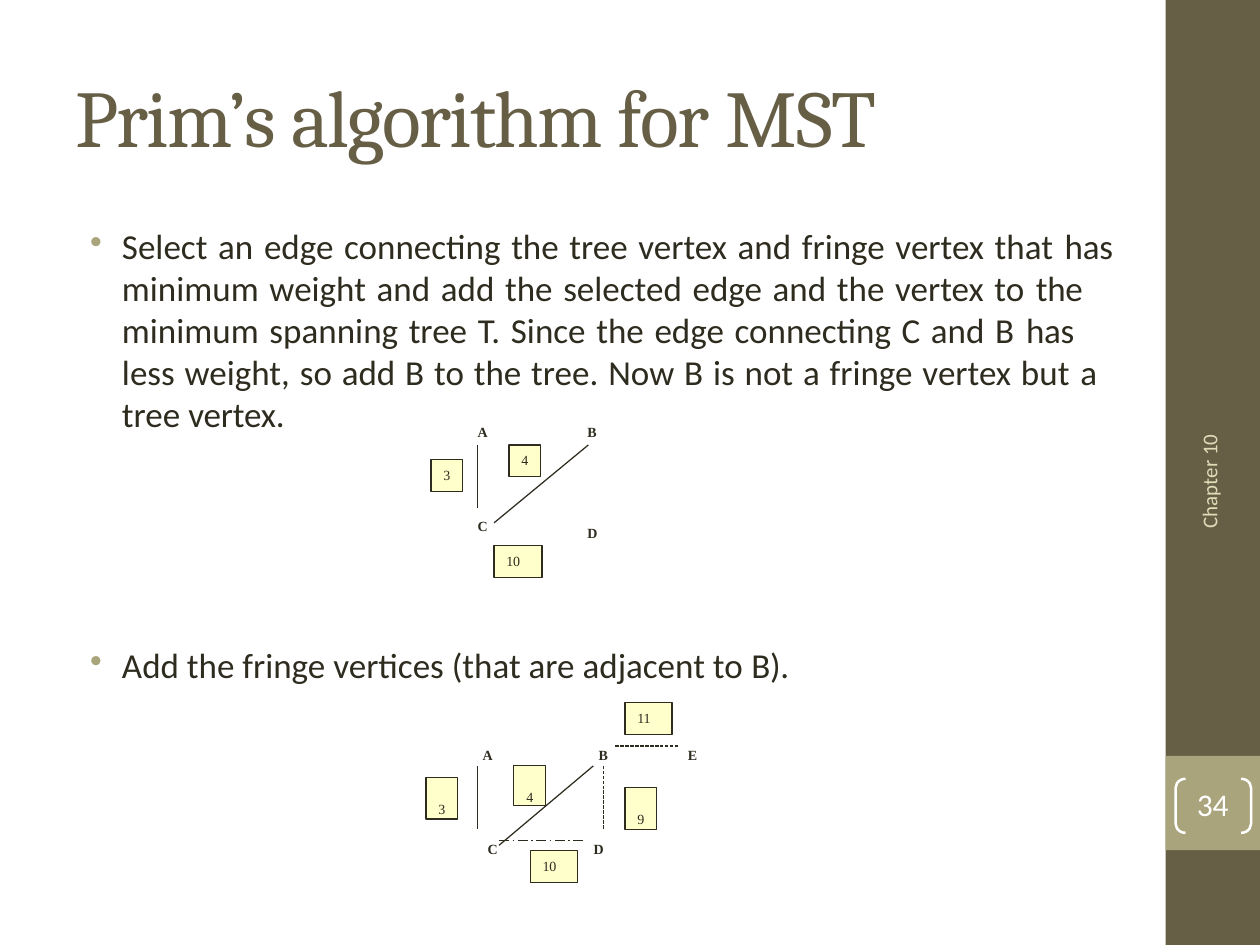
from lxml import etree
from pptx import Presentation
from pptx import util as u
from pptx.dml.color import RGBColor
from pptx.enum import dml, shapes, text
from pptx.oxml import ns

Cm, Pt = u.Cm, u.Pt

OLIVE = RGBColor(0x67, 0x5E, 0x46)
SAGE = RGBColor(0xA9, 0xA4, 0x7B)
SAND = RGBColor(0xDF, 0xDC, 0xB7)
INK = RGBColor(0x2E, 0x2B, 0x1F)
YELLOW = RGBColor(0xFF, 0xFF, 0xCC)
WHITE = RGBColor(0xFF, 0xFF, 0xFF)

DASH = dml.MSO_LINE.SQUARE_DOT
DASH_DOT = dml.MSO_LINE.LONG_DASH_DOT

TITLE = [("Prim’s ", -1.1), ("algorithm for ", -0.9), ("MST", -0.2)]
SELECT_EDGE = [
    ("Select an edge connecting the tree vertex and fringe vertex that ", 0),
    ("has \t", -0.2),
    ("minimum weight and add the selected edge and the vertex to ", 0),
    ("the \t", -0.2),
    ("minimum spanning tree T. Since the edge connecting C and B ", 0),
    ("has \t", -0.2),
    ("less weight, so add B to the tree. Now B is not a fringe vertex but ", 0),
    ("a \t", -0.5),
    ("tree ", 0),
    ("vertex.", -0.1),
]
ADD_FRINGE = [("Add the fringe vertices (that are adjacent to ", 0), ("B).", -0.2)]

# Vertices: name, left, top. Edges: x1, y1, x2, y2, dash.
# Weights: value, left, top, width, height, space above the text. All in cm.
TREE_WITH_B = {
    "vertices": [("A", 9.6, 8.51), ("B", 11.81, 8.51),
                 ("C", 9.6, 10.41), ("D", 11.81, 10.54)],
    "edges": [(9.63, 8.97, 9.63, 10.24, None),
              (11.86, 8.97, 9.96, 10.54, None)],
    "weights": [("3", 8.69, 9.27, 0.64, 0.64, 0.13),
                ("4", 10.26, 8.97, 0.64, 0.64, 0.13),
                ("10", 9.96, 11, 0.97, 0.64, 0.13)],
}
TREE_WITH_FRINGE = {
    "vertices": [("A", 9.7, 15.01), ("B", 12.04, 15.01), ("E", 13.84, 15.01),
                 ("C", 9.8, 16.92), ("D", 11.94, 16.92)],
    "edges": [(9.63, 15.44, 9.63, 16.71, None),
              (12.17, 16.71, 12.17, 15.44, DASH),
              (11.96, 15.44, 10.06, 17.04, None),
              (12.4, 15.04, 13.67, 15.04, DASH),
              (10.06, 16.94, 11.76, 16.94, DASH_DOT)],
    "weights": [("4", 10.36, 15.44, 0.64, 0.8, 0.46),
                ("3", 8.59, 15.67, 0.64, 0.84, 0.46),
                ("9", 12.6, 15.88, 0.64, 0.84, 0.46),
                ("11", 12.6, 14.17, 0.95, 0.64, 0.13),
                ("10", 10.69, 17.15, 0.95, 0.64, 0.13)],
}


def write(sp, runs, size, font, color, bold=False, left=0.03, top=0.03):
    """Fill a shape with one left-aligned paragraph of (text, spacing) runs."""
    tf = sp.text_frame
    tf.word_wrap = True
    tf.auto_size = text.MSO_AUTO_SIZE.NONE
    tf.vertical_anchor = text.MSO_ANCHOR.TOP
    tf.margin_left, tf.margin_top = Cm(left), Cm(top)
    tf.margin_right = tf.margin_bottom = 0
    p = tf.paragraphs[0]
    p.alignment = text.PP_ALIGN.LEFT
    for words, spacing in runs:
        r = p.add_run()
        r.text = words
        r.font.size, r.font.name, r.font.bold = Pt(size), font, bold
        r.font.color.rgb = color
        if spacing:
            r._r.get_or_add_rPr().set("spc", str(round(spacing * 100)))
    return p


def add_text(s, box, runs, size, font, color, **options):
    sp = s.shapes.add_textbox(*map(Cm, box))
    return sp, write(sp, runs, size, font, color, **options)


def add_bullet(s, box, runs, align):
    p = add_text(s, box, runs, 20, "Calibri", INK, left=0)[1]
    p.alignment = align
    pPr = p._p.get_or_add_pPr()
    indent = Cm(0.66)
    pPr.set("marL", str(indent))
    pPr.set("indent", str(-Cm(0.64)))
    clr = etree.SubElement(pPr, ns.qn("a:buClr"))
    etree.SubElement(clr, ns.qn("a:srgbClr"), val=str(SAGE))
    etree.SubElement(pPr, ns.qn("a:buChar"), char="•")
    tabs = etree.SubElement(pPr, ns.qn("a:tabLst"))
    etree.SubElement(tabs, ns.qn("a:tab"), pos=str(indent), algn="l")


def add_shape(s, kind, box, fill=None, line=None, width=0.72):
    sp = s.shapes.add_shape(kind, *map(Cm, box))
    sp.shadow.inherit = False
    if fill is None:
        sp.fill.background()
    else:
        sp.fill.solid()
        sp.fill.fore_color.rgb = fill
    if line is None:
        sp.line.fill.background()
    else:
        sp.line.color.rgb = line
        sp.line.width = Pt(width)
    return sp


def add_edge(s, x1, y1, x2, y2, dash):
    c = s.shapes.add_connector(shapes.MSO_CONNECTOR.STRAIGHT,
                               Cm(x1), Cm(y1), Cm(x2), Cm(y2))
    c.line.color.rgb = INK
    c.line.width = Pt(0.72)
    if dash is not None:
        c.line.dash_style = dash
    etree.SubElement(c._element.spPr, ns.qn("a:effectLst"))


def add_graph(s, graph):
    for name, x, y in graph["vertices"]:
        add_text(s, (x, y, 0.28, 0.41), [(name, 0)], 8, "Times New Roman", INK, bold=True)
    for edge in graph["edges"]:
        add_edge(s, *edge)
    for value, x, y, w, h, top in graph["weights"]:
        sp = add_shape(s, shapes.MSO_SHAPE.RECTANGLE, (x, y, w, h), YELLOW, INK)
        write(sp, [(value, -0.2)], 8, "Times New Roman", INK, left=0.25, top=top)


def add_sidebar(s):
    kinds = shapes.MSO_SHAPE
    add_shape(s, kinds.RECTANGLE, (23.5, 0, 1.9, 19.05), OLIVE)
    add_shape(s, kinds.RECTANGLE, (23.5, 15.24, 1.9, 1.9), SAGE)
    for kind, x in ((kinds.LEFT_BRACKET, 23.7), (kinds.RIGHT_BRACKET, 25.02)):
        sp = add_shape(s, kind, (x, 15.7, 0.2, 1.09), line=WHITE, width=1.44)
        sp.adjustments[0] = 0.9
    sp, p = add_text(s, (24.16, 8.69, 0.48, 1.96), [("Chapter ", 0), ("10", -0.2)],
                     12, "Calibri", SAND, top=0)
    p.line_spacing = Pt(12.4)
    sp._element.xpath(".//a:bodyPr")[0].set("vert", "vert270")
    add_text(s, (24.1, 15.8, 0.75, 0.84), [("34", -0.2)], 18, "Calibri", WHITE)


def main():
    prs = Presentation()
    prs.slide_width, prs.slide_height = Cm(25.4), Cm(19.05)
    s = prs.slides.add_slide(prs.slide_layouts[5])
    add_sidebar(s)
    title = s.shapes.title
    title.left, title.top, title.width, title.height = map(Cm, (1.5, 0.46, 20.7, 2.92))
    write(title, TITLE, 46, "Cambria", OLIVE, top=0.89)
    add_bullet(s, (1.8, 4.5, 20.42, 4.29), SELECT_EDGE, text.PP_ALIGN.JUSTIFY)
    add_bullet(s, (1.8, 12.95, 14.17, 0.91), ADD_FRINGE, text.PP_ALIGN.LEFT)
    for graph in (TREE_WITH_B, TREE_WITH_FRINGE):
        add_graph(s, graph)
    prs.save("out.pptx")


if __name__ == "__main__":
    main()
